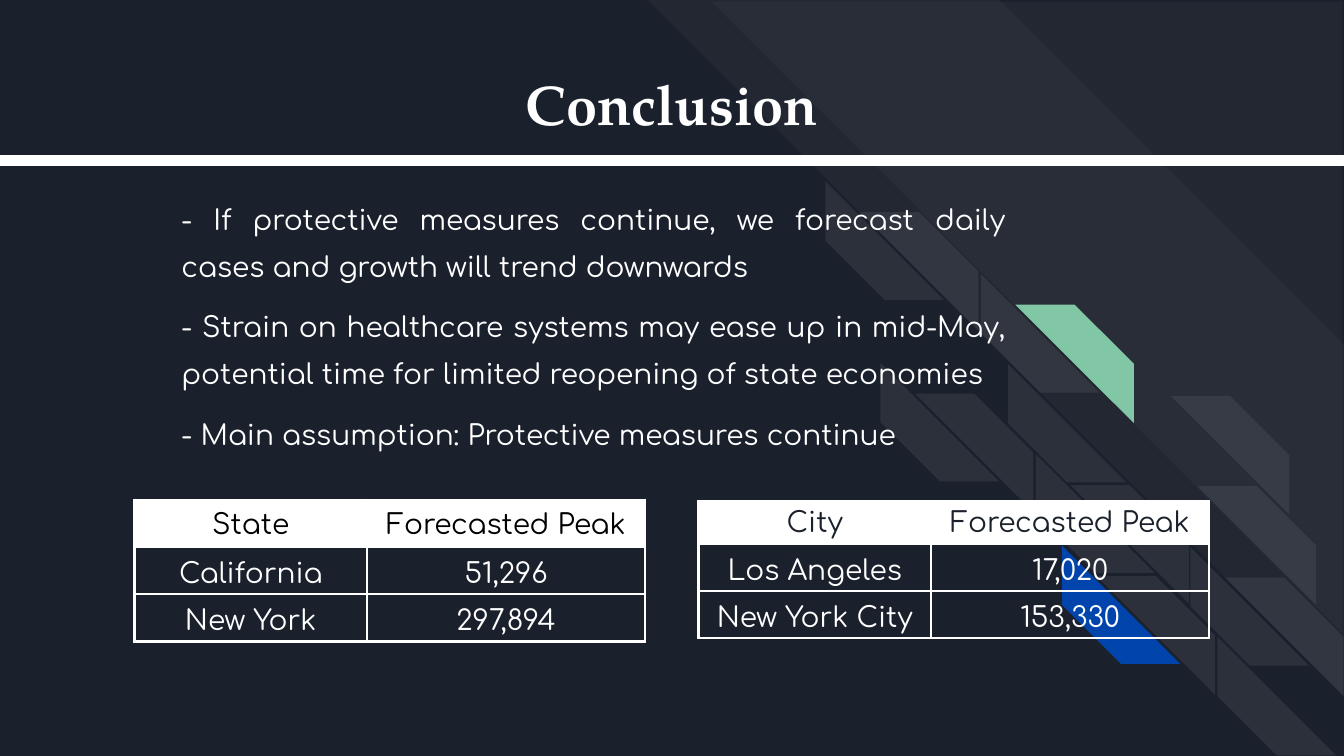
from lxml import etree
from pptx import Presentation
from pptx.dml.color import RGBColor
from pptx.enum.shapes import MSO_CONNECTOR, MSO_SHAPE
from pptx.enum.text import MSO_ANCHOR, PP_ALIGN
from pptx.oxml.ns import qn
from pptx.util import Cm, Pt

STRIPE = MSO_SHAPE.DIAGONAL_STRIPE
STRAIGHT = MSO_CONNECTOR.STRAIGHT
TOP, MIDDLE, BOTTOM = MSO_ANCHOR.TOP, MSO_ANCHOR.MIDDLE, MSO_ANCHOR.BOTTOM
CENTER, JUSTIFY = PP_ALIGN.CENTER, PP_ALIGN.JUSTIFY

COLORS = {"navy": "1B212C", "white": "FFFFFF", "black": "000000",
          "green": "82C7A5", "blue": "0145AC"}
TITLE_FONT, BODY_FONT = "TeX Gyre Pagella", "Comfortaa"

# Lower stripe position in cm, then the colours of the lower and upper stripe.
# "veil" is translucent white; None leaves that half out.
STRIPE_PAIRS = [
    (15.6, 3.43, "veil", "veil"),
    (16.64, 6.86, "veil", "veil"),
    (18.54, 5.18, "veil", "green"),
    (19.05, 6.88, "veil", None),
    (21.48, 6.91, None, "veil"),
    (21.98, 8.61, None, "veil"),
    (19.58, 8.59, "veil", "veil"),
    (20.07, 10.31, "blue", "veil"),
    (22.5, 10.34, "veil", "veil"),
    (23.01, 12.04, "veil", None),
]
STRIPE_SIZE = 2.24
UPPER_SHIFT = (0.65, 0.58)

CONCLUSIONS = [
    "- If protective measures continue, we forecast daily cases and growth will trend downwards",
    "- Strain on healthcare systems may ease up in mid-May, potential time for limited reopening of state economies",
    "- Main assumption: Protective measures continue",
]
CITY_ROWS = [("City", "Forecasted Peak"), ("Los Angeles", "17,020"), ("New York City", "153,330")]
STATE_ROWS = [("State", "Forecasted Peak"), ("California", "51,296"), ("New York", "297,894")]


def rgb(name):
    return RGBColor.from_string(COLORS[name])


def set_attributes(target, values):
    for name, value in values.items():
        setattr(target, name, value)


class SlideBuilder:
    column_widths = (4.4, 5.25)
    row_height = 0.56
    cell_margin = 0.08
    border_width = 1.5

    def __init__(self, slide):
        self.slide = slide
        fill = slide.background.fill
        fill.solid()
        fill.fore_color.rgb = rgb("navy")

    def stripe(self, left, top, size, rotation, color, opacity=7, band=0.5):
        """Add a corner stripe; opacity in percent applies to the veil colour only."""
        shape = self.slide.shapes.add_shape(STRIPE, Cm(left), Cm(top), Cm(size), Cm(size))
        shape.shadow.inherit = False
        shape.rotation = rotation
        shape.adjustments[0] = band
        shape.line.fill.background()
        shape.fill.solid()
        shape.fill.fore_color.rgb = rgb("white" if color == "veil" else color)
        if color == "veil":
            color_element = next(shape._element.spPr.iter(qn("a:srgbClr")))
            etree.SubElement(color_element, qn("a:alpha"), val=str(opacity * 1000))

    def add_run(self, paragraph, text, font, size, color, bold=False, **layout):
        set_attributes(paragraph, layout)
        run = paragraph.add_run()
        run.text = text
        set_attributes(run.font, {"name": font, "size": Pt(size), "bold": bold})
        run.font.color.rgb = rgb(color)

    def text(self, left, top, width, height, lines, **style):
        box = self.slide.shapes.add_textbox(Cm(left), Cm(top), Cm(width), Cm(height))
        frame = box.text_frame
        set_attributes(frame, {"word_wrap": True, "vertical_anchor": TOP})
        set_attributes(frame, {f"margin_{side}": Cm(0.25)
                               for side in ("left", "right", "top", "bottom")})
        for index, line in enumerate(lines):
            paragraph = frame.add_paragraph() if index else frame.paragraphs[0]
            self.add_run(paragraph, line, **style)

    def borders(self, cell):
        properties = cell._tc.get_or_add_tcPr()
        for side in ("lnL", "lnR", "lnT", "lnB"):
            line = etree.SubElement(properties, qn(f"a:{side}"), w=str(Pt(self.border_width)))
            fill = etree.SubElement(line, qn("a:solidFill"))
            etree.SubElement(fill, qn("a:srgbClr"), val=COLORS["white"])

    def table(self, left, top, rows, header_color, header_anchor, header_spacing):
        table = self.slide.shapes.add_table(
            len(rows), len(self.column_widths), Cm(left), Cm(top),
            Cm(sum(self.column_widths)), Cm(self.row_height * len(rows))).table
        set_attributes(table, {"first_row": False, "horz_banding": False})
        for column, width in zip(table.columns, self.column_widths):
            column.width = Cm(width)
        for row_index, values in enumerate(rows):
            table.rows[row_index].height = Cm(self.row_height)
            header = row_index == 0
            gap = Pt(10 if header else 5)
            for column_index, value in enumerate(values):
                cell = table.cell(row_index, column_index)
                set_attributes(cell, {f"margin_{side}": Cm(self.cell_margin)
                                      for side in ("left", "right", "top", "bottom")})
                cell.vertical_anchor = header_anchor if header else BOTTOM
                self.borders(cell)
                if header:
                    cell.fill.solid()
                    cell.fill.fore_color.rgb = rgb("white")
                else:
                    cell.fill.background()
                self.add_run(cell.text_frame.paragraphs[0], value, BODY_FONT, 15,
                             header_color if header else "white", alignment=CENTER,
                             line_spacing=header_spacing if header else 1.15,
                             space_before=gap, space_after=gap)

    def rule(self, top, width, weight):
        line = self.slide.shapes.add_connector(STRAIGHT, Cm(0), Cm(top), Cm(width), Cm(top))
        line.line.color.rgb = rgb("white")
        line.line.width = Pt(weight)
        etree.SubElement(line._element.spPr, qn("a:effectLst"))


def main():
    presentation = Presentation()
    set_attributes(presentation, {"slide_width": Cm(25.4), "slide_height": Cm(14.29)})
    builder = SlideBuilder(presentation.slides.add_slide(presentation.slide_layouts[6]))

    builder.stripe(12.24, 0, 13.16, 90, "veil", opacity=3, band=0.495)
    builder.stripe(13.44, 0.03, 11.93, 90, "veil", opacity=3, band=0)
    for left, top, lower, upper in STRIPE_PAIRS:
        if lower:
            builder.stripe(left, top, STRIPE_SIZE, 270, lower)
        if upper:
            builder.stripe(left + UPPER_SHIFT[0], top + UPPER_SHIFT[1], STRIPE_SIZE, 90, upper)

    builder.text(2.92, 1.07, 19.56, 2.54, ["Conclusion"], font=TITLE_FONT, size=30,
                 color="white", bold=True, alignment=CENTER)
    builder.text(3.18, 3.33, 16.08, 6.27, CONCLUSIONS, font=BODY_FONT, size=15,
                 color="white", alignment=JUSTIFY, line_spacing=1.4, space_before=Pt(7))
    builder.table(13.2, 9.48, CITY_ROWS, "navy", BOTTOM, 1.0)
    builder.table(2.54, 9.45, STATE_ROWS, "black", MIDDLE, 1.15)
    builder.rule(3.04, 25.4, 6)
    presentation.save("out.pptx")


if __name__ == "__main__":
    main()
